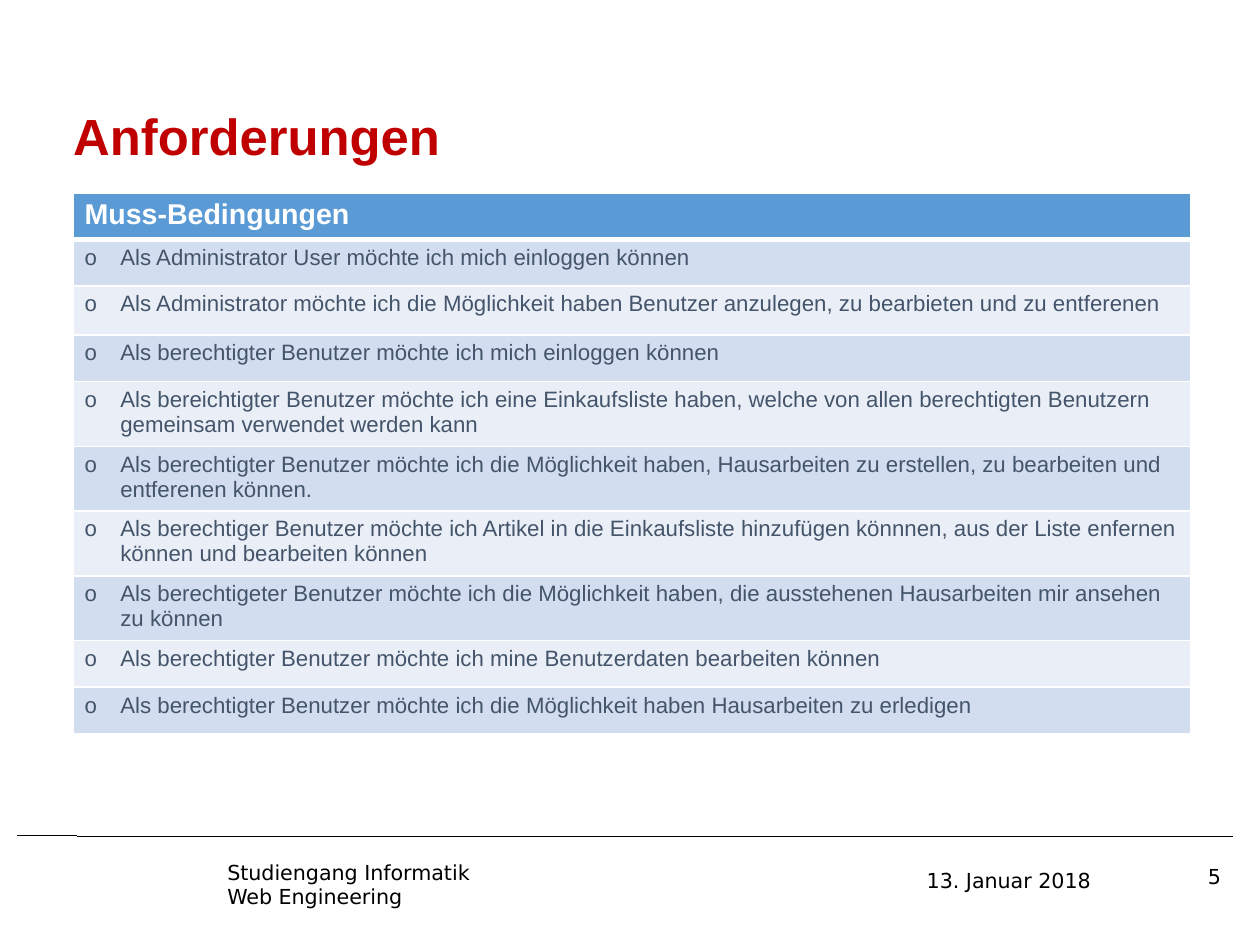
from lxml.etree import SubElement
from pptx import Presentation
from pptx.dml.color import RGBColor
from pptx.enum.shapes import MSO_CONNECTOR as Connector
from pptx.enum.text import MSO_ANCHOR as Anchor
from pptx.oxml import parse_xml
from pptx.oxml.ns import nsdecls, qn
from pptx.util import Inches, Pt

TITLE_FORMAT = {"name": "Arial", "size": Pt(32), "bold": True, "color": "C00000"}
HEADER_FORMAT = {"name": "Arial", "size": Pt(18), "bold": True, "color": "FFFFFF"}
BODY_FORMAT = {"name": "Arial", "size": Pt(14), "bold": False, "color": "44546A"}
FOOTER_FORMAT = {"name": "DejaVu Sans", "size": Pt(13), "color": "000000"}
BAND_FILLS = ("D2DEEF", "EAEFF7")
ROW_HEIGHT = 29.2 / 72
TALL_ROW, TALL_ROW_HEIGHT = 2, 0.43
BULLET_INDENT = Inches(5 / 16)
REQUIREMENTS = [
    "Als Administrator User möchte ich mich einloggen können",
    "Als Administrator möchte ich die Möglichkeit haben Benutzer anzulegen, zu bearbieten und zu entferenen",
    "Als berechtigter Benutzer möchte ich mich einloggen können",
    "Als bereichtigter Benutzer möchte ich eine Einkaufsliste haben, welche von allen berechtigten Benutzern "
    "gemeinsam verwendet werden kann",
    "Als berechtigter Benutzer möchte ich die Möglichkeit haben, Hausarbeiten zu erstellen, zu bearbeiten und "
    "entferenen können.",
    "Als berechtiger Benutzer möchte ich Artikel in die Einkaufsliste hinzufügen könnnen, aus der Liste enfernen "
    "können und bearbeiten können",
    "Als berechtigeter Benutzer möchte ich die Möglichkeit haben, die ausstehenen Hausarbeiten mir ansehen "
    "zu können",
    "Als berechtigter Benutzer möchte ich mine Benutzerdaten bearbeiten können",
    "Als berechtigter Benutzer möchte ich die Möglichkeit haben Hausarbeiten zu erledigen",
]


def rgb(value):
    """Turn a hex string into a colour."""
    return RGBColor.from_string(value)


def write_text(frame, lines, text_format):
    """Write one formatted paragraph for each line."""
    for index, line in enumerate(lines):
        paragraph = frame.paragraphs[0] if index == 0 else frame.add_paragraph()
        run = paragraph.add_run()
        run.text = line
        for key, value in text_format.items():
            if key == "color":
                run.font.color.rgb = rgb(value)
            else:
                setattr(run.font, key, value)


def add_text(slide, box, lines, text_format, frame_format):
    """Add a text box with the given frame settings."""
    frame = slide.shapes.add_textbox(*map(Inches, box)).text_frame
    for key, value in frame_format.items():
        setattr(frame, key, value)
    write_text(frame, lines, text_format)


def add_title(slide, box, title):
    """Add the heading at the bottom of its box."""
    frame_format = dict.fromkeys(("margin_left", "margin_top", "margin_right", "margin_bottom"), 0)
    frame_format.update(word_wrap=True, vertical_anchor=Anchor.BOTTOM)
    add_text(slide, box, [title], TITLE_FORMAT, frame_format)


def add_bullet(paragraph):
    """Give a paragraph a hanging o bullet."""
    properties = paragraph._p.get_or_add_pPr()
    properties.set("marL", str(BULLET_INDENT))
    properties.set("indent", str(-BULLET_INDENT))
    SubElement(properties, qn("a:buFont")).set("typeface", "Arial")
    SubElement(properties, qn("a:buChar")).set("char", "o")


def style_cell(cell, fill, top, bottom):
    """Fill a cell and draw its white borders."""
    cell.fill.solid()
    cell.fill.fore_color.rgb = rgb(fill)
    properties = cell._tc.get_or_add_tcPr()
    for index, (side, width) in enumerate({"L": 1, "R": 1, "T": top, "B": bottom}.items()):
        border = parse_xml(
            f'<a:ln{side} {nsdecls("a")} w="{Pt(width)}"><a:solidFill>'
            f'<a:srgbClr val="FFFFFF"/></a:solidFill></a:ln{side}>')
        properties.insert(index, border)


def add_requirements(slide, box, header, requirements):
    """Add the banded table of requirements."""
    rows = [header] + requirements
    table = slide.shapes.add_table(len(rows), 1, *map(Inches, box)).table
    for index, text in enumerate(rows):
        table.rows[index].height = Inches(TALL_ROW_HEIGHT if index == TALL_ROW else ROW_HEIGHT)
        cell = table.cell(index, 0)
        if index == 0:
            style_cell(cell, "5B9BD5", 1, 3)
            write_text(cell.text_frame, [text], HEADER_FORMAT)
        else:
            style_cell(cell, BAND_FILLS[(index - 1) % 2], 3 if index == 1 else 1, 1)
            write_text(cell.text_frame, [text], BODY_FORMAT)
            add_bullet(cell.text_frame.paragraphs[0])


def add_rule(slide, left, right, top):
    """Add a thin black horizontal line."""
    line = slide.shapes.add_connector(Connector.STRAIGHT, *map(Inches, (left, top, right, top)))
    line.line.color.rgb = rgb("000000")
    line.line.width = Pt(0.5)
    SubElement(line._element.spPr, qn("a:effectLst"))


def add_footer(slide, box):
    """Add the footer rules, course, date and page number."""
    left, top, width, height = box
    add_rule(slide, left, left + 0.52, top)
    add_rule(slide, left + 0.52, left + width, top + 0.01)
    parts = [
        (1.74, 0.16, 2.38, 0.52, ["Studiengang Informatik", "Web Engineering"]),
        (7.86, 0.23, 1.7, 0.31, ["13. Januar 2018"]),
        (10.32, 0.2, 0.31, 0.32, ["5"]),
    ]
    for x, y, part_width, part_height, lines in parts:
        part_box = (left + x, top + y, part_width, part_height)
        add_text(slide, part_box, lines, FOOTER_FORMAT, {"word_wrap": False})


def main():
    """Build and save the slide."""
    presentation = Presentation()
    presentation.slide_width, presentation.slide_height = Inches(28 / 2.54), Inches(21 / 2.54)
    slide = presentation.slides.add_slide(presentation.slide_layouts[6])
    add_title(slide, (0.64, 0.36, 7.25, 1.09), "Anforderungen")
    add_requirements(slide, (0.64, 1.69, 9.78, 4.72), "Muss-Bedingungen", REQUIREMENTS)
    add_footer(slide, (0.15, 7.31, 10.64, 0.68))
    presentation.save("out.pptx")


if __name__ == "__main__":
    main()
